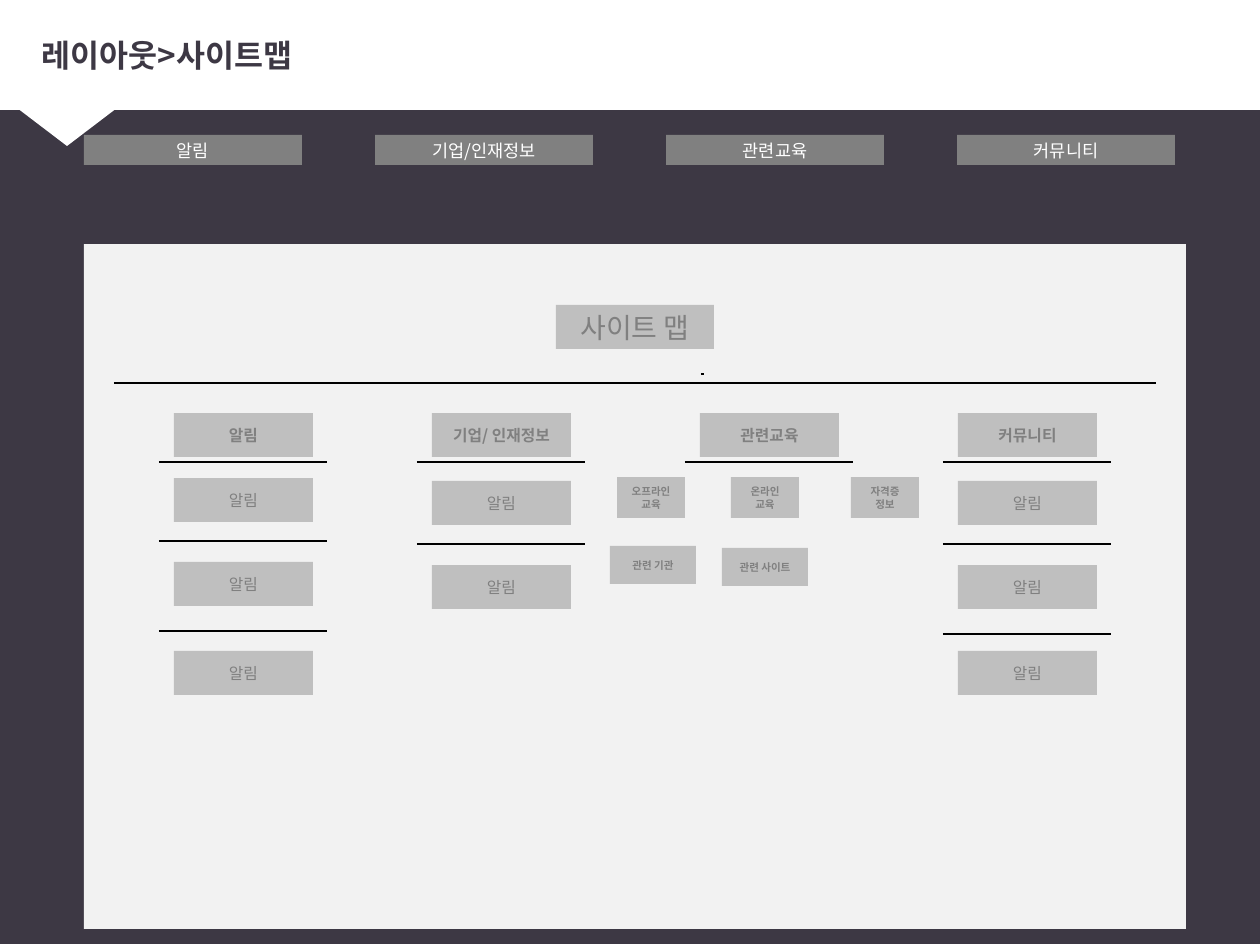
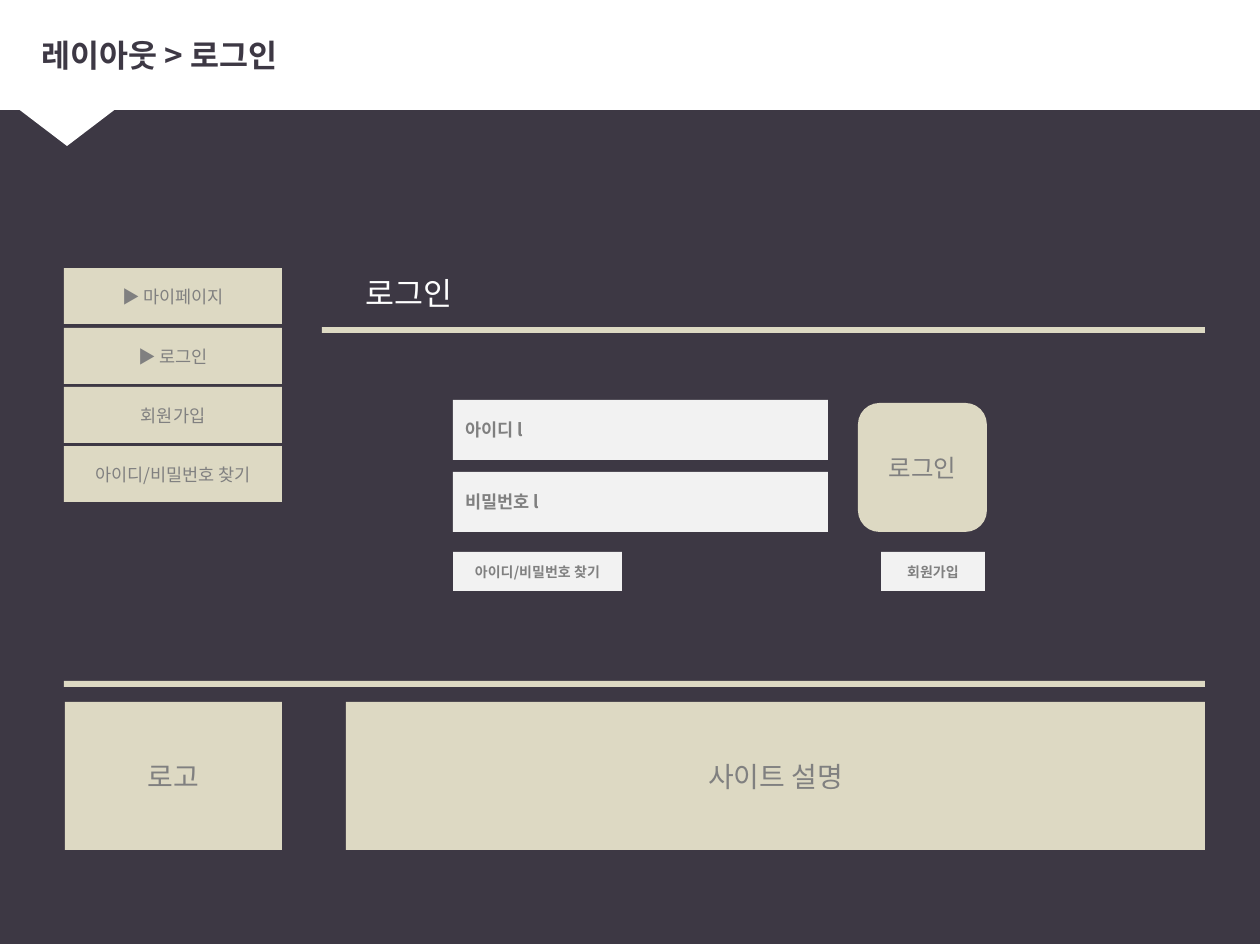
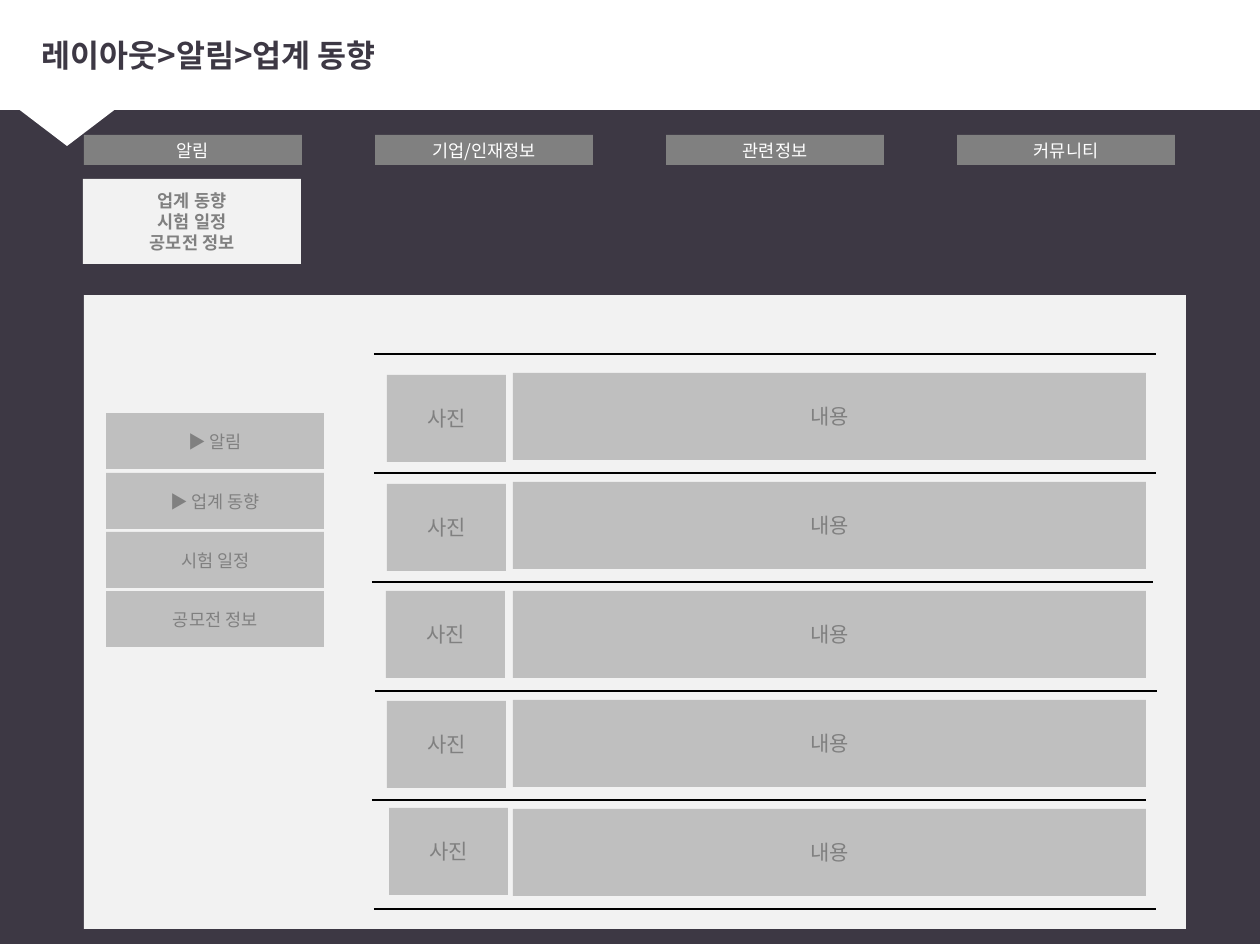
import pptx
import pptx.dml.color
import pptx.enum.shapes
import pptx.enum.text
import pptx.oxml.ns
import pptx.util
from lxml import etree

SCALE = 914400 / 126  # EMU in one pixel
FONT = "Noto Sans CJK KR"
DARK, WHITE, BLACK = "3D3844", "FFFFFF", "000000"
PALE, SILVER, GRAY, BEIGE = "F2F2F2", "BFBFBF", "808080", "DDD9C3"

SHAPES = pptx.enum.shapes.MSO_SHAPE
LEFT = pptx.enum.text.PP_ALIGN.LEFT
CENTER = pptx.enum.text.PP_ALIGN.CENTER


def px(*lengths):
    return [pptx.util.Emu(round(length * SCALE)) for length in lengths]


def rgb(color):
    return pptx.dml.color.RGBColor.from_string(color)


def write_text(shape, text, size=10, color=GRAY, bold=False, align=CENTER):
    """Fill a shape with text, one paragraph for each line."""
    frame = shape.text_frame
    frame.word_wrap = True
    frame.text = text
    for paragraph in frame.paragraphs:
        paragraph.alignment = align
        for run in paragraph.runs:
            run.font.size = pptx.util.Pt(size)
            run.font.bold = bold
            run.font.color.rgb = rgb(color)
            run.font.name = FONT
            east_asian = etree.SubElement(run.font._element, pptx.oxml.ns.qn("a:ea"))
            east_asian.set("typeface", FONT)


def add_box(slide, box, fill, text="", kind=SHAPES.RECTANGLE, **text_format):
    shape = slide.shapes.add_shape(kind, *px(*box))
    shape.shadow.inherit = False
    shape.fill.solid()
    shape.fill.fore_color.rgb = rgb(fill)
    shape.line.fill.background()
    if text:
        write_text(shape, text, **text_format)
    return shape


def add_rule(slide, start, end, y):
    """Draw a thin black horizontal line."""
    line = slide.shapes.add_connector(
        pptx.enum.shapes.MSO_CONNECTOR.STRAIGHT, *px(start, y, end, y))
    line.line.color.rgb = rgb(BLACK)
    line.line.width = pptx.util.Pt(0.75)
    etree.SubElement(line._element.spPr, pptx.oxml.ns.qn("a:effectLst"))


def add_navigation(slide, labels):
    for index, label in enumerate(labels):
        add_box(slide, (84 + 291 * index, 135, 218, 30), GRAY, label, color=WHITE)


def add_side_menu(slide, left, top, fill, labels):
    for index, label in enumerate(labels):
        add_box(slide, (left, top + round(59.5 * index), 218, 56), fill, label)


def add_slide(presentation, layout, title):
    slide = presentation.slides.add_slide(layout)
    write_text(slide.shapes.title, title, size=18, color=DARK, bold=True, align=LEFT)
    return slide


def style_layout(layout, slide):
    """Place the title and move the background bands into the layout."""
    title = layout.placeholders[0]
    title.left, title.top, title.width, title.height = px(29, 16, 1217, 78)
    title.text_frame.vertical_anchor = pptx.enum.text.MSO_ANCHOR.MIDDLE
    background = add_box(slide, (0, -1, 1278, 945), DARK)
    header = add_box(slide, (-4, -3, 1281, 113), WHITE)
    pointer = add_box(slide, (-25, 76, 184, 70), WHITE, kind=SHAPES.ISOSCELES_TRIANGLE)
    pointer.rotation = 180
    for index, band in enumerate((background, header, pointer)):
        layout.shapes._spTree.insert(2 + index, band._element)


def build_site_map(slide):
    add_navigation(slide, ["알림", "기업/인재정보", "관련교육", "커뮤니티"])
    add_box(slide, (84, 244, 1102, 685), PALE)
    add_box(slide, (556, 305, 158, 44), SILVER, "사이트 맵", size=16)
    add_rule(slide, 114, 1156, 383)
    add_rule(slide, 701, 704, 374)

    # Columns: left edge, heading, tops of the items, dividers
    columns = [
        (159, "알림", [478, 562, 651], [541, 631]),
        (417, "기업/ 인재정보", [481, 565], [544]),
        (685, "관련교육", [], []),
        (943, "커뮤니티", [481, 565, 651], [544, 634]),
    ]
    for left, heading, items, dividers in columns:
        add_box(slide, (left + 15, 413, 139, 44), SILVER, heading, size=9, bold=True)
        for y in [462] + dividers:
            add_rule(slide, left, left + 168, y)
        for top in items:
            add_box(slide, (left + 15, top, 139, 44), SILVER, "알림", size=9)

    # Small entries below the education heading
    entries = [
        ((617, 477, 68, 41), "오프라인 교육"),
        ((731, 477, 68, 41), "온라인\n교육"),
        ((851, 477, 68, 41), "자격증\n정보"),
        ((610, 546, 86, 38), "관련 기관"),
        ((722, 548, 86, 38), "관련 사이트"),
    ]
    for box, label in entries:
        add_box(slide, box, SILVER, label, size=6, bold=True)


def build_login(slide):
    # Form
    for top, label in ((400, "아이디 l"), (472, "비밀번호 l")):
        add_box(slide, (453, top, 375, 60), PALE, label, bold=True, align=LEFT)
    for left, width, label in ((453, 169, "아이디/비밀번호 찾기"), (881, 104, "회원가입")):
        add_box(slide, (left, 552, width, 39), PALE, label, size=8, bold=True)
    add_box(slide, (858, 403, 129, 129), BEIGE, "로그인",
            kind=SHAPES.ROUNDED_RECTANGLE, size=14)

    # Menu and heading
    add_side_menu(slide, 64, 268, BEIGE,
                  ["▶ 마이페이지", "▶ 로그인", "회원가입", "아이디/비밀번호 찾기"])
    heading = slide.shapes.add_textbox(*px(353, 268, 149, 50))
    write_text(heading, "로그인", size=18, color=WHITE, align=LEFT)
    add_box(slide, (322, 327, 883, 6), BEIGE)

    # Page footer
    add_box(slide, (64, 681, 1141, 6), BEIGE)
    add_box(slide, (65, 702, 217, 148), BEIGE, "로고", size=16)
    add_box(slide, (346, 702, 859, 148), BEIGE, "사이트 설명", size=16)


def build_trends(slide):
    add_navigation(slide, ["알림", "기업/인재정보", "관련정보", "커뮤니티"])
    add_box(slide, (83, 179, 218, 85), PALE, "업계 동향\n시험 일정\n공모전 정보", bold=True)
    add_box(slide, (84, 295, 1102, 634), PALE)
    add_side_menu(slide, 106, 413, SILVER,
                  ["▶ 알림", "▶ 업계 동향", "시험 일정", "공모전 정보"])

    # Posts: photo position, then the line under the row
    add_rule(slide, 374, 1156, 354)
    posts = [
        (387, 375, 374, 1156),
        (387, 484, 372, 1153),
        (386, 591, 375, 1157),
        (387, 701, 372, 1146),
        (389, 808, 374, 1156),
    ]
    for index, (photo_left, photo_top, start, end) in enumerate(posts):
        offset = 109 * index
        add_box(slide, (photo_left, photo_top, 119, 87), SILVER, "사진", size=12)
        add_box(slide, (513, 373 + offset, 633, 87), SILVER, "내용", size=12)
        add_rule(slide, start, end, 473 + offset)


def main():
    presentation = pptx.Presentation()
    presentation.slide_width, presentation.slide_height = px(1260, 945)
    layout = presentation.slide_layouts.get_by_name("Title Only")
    pages = [
        ("레이아웃>사이트맵", build_site_map),
        ("레이아웃 > 로그인", build_login),
        ("레이아웃>알림>업계 동향", build_trends),
    ]
    slides = [add_slide(presentation, layout, title) for title, _ in pages]
    style_layout(layout, slides[0])
    for slide, (_, build) in zip(slides, pages):
        build(slide)
    presentation.save("out.pptx")


main()
